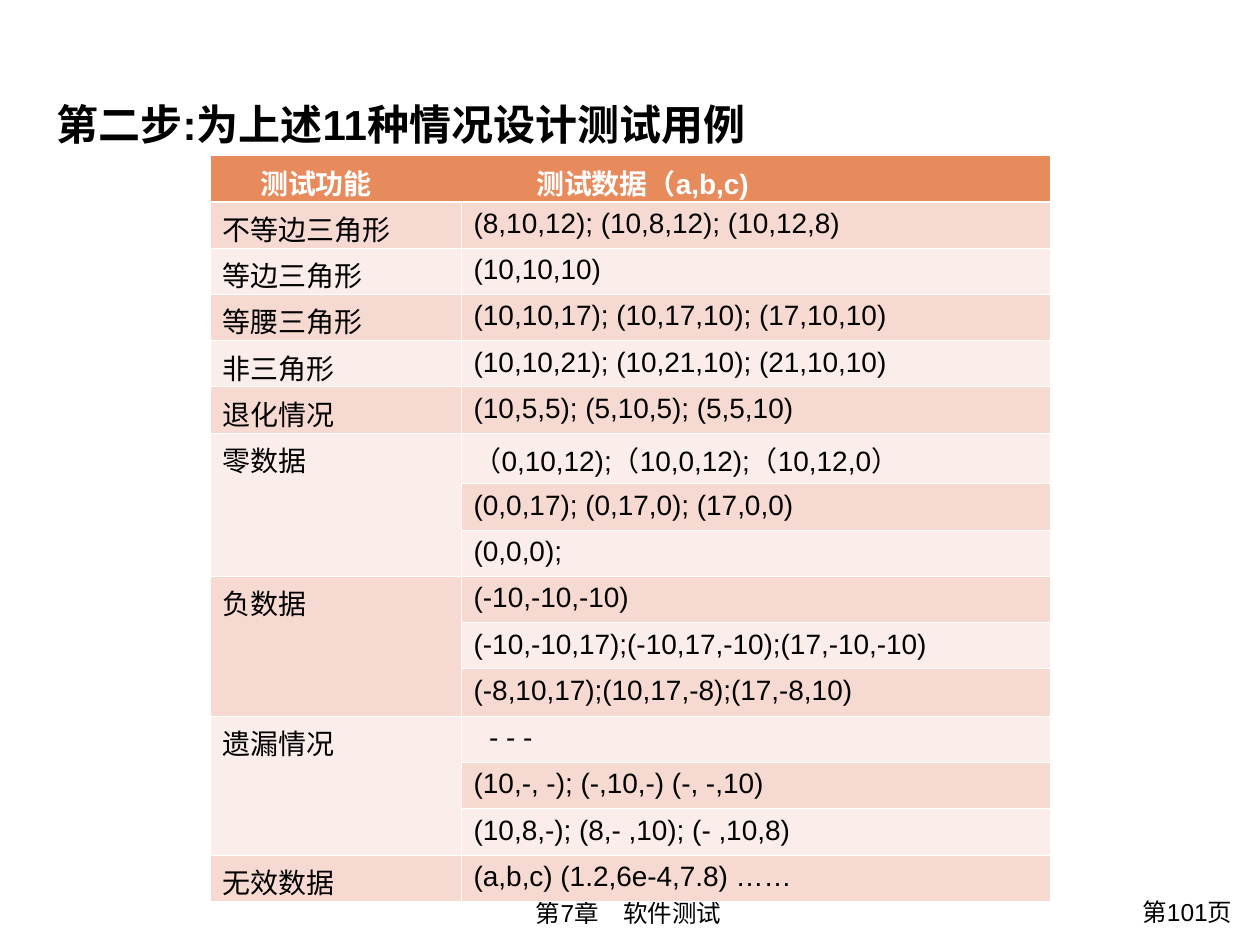
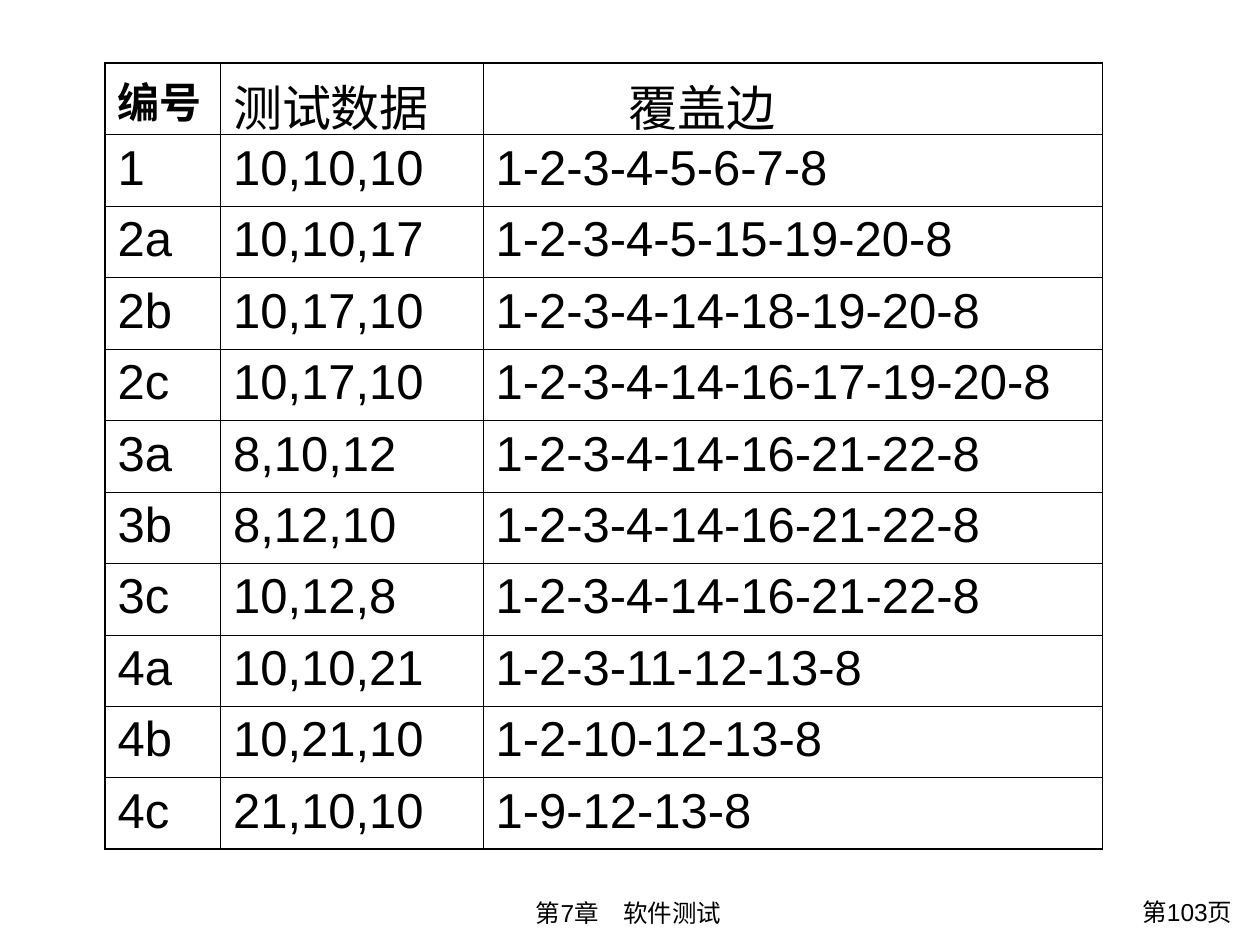
from lxml.etree import SubElement
from pptx import Presentation
from pptx.dml.color import RGBColor
from pptx.enum.text import MSO_ANCHOR, PP_ALIGN
from pptx.oxml.ns import qn
from pptx.util import Pt

COLORS = {
    "text": "000000",
    "white": "FFFFFF",
    "header": "E78A5C",
    "dark_band": "F6DAD2",
    "light_band": "FAEDEA",
}
FORMATS = {
    "title": {"size": Pt(24), "bold": True},
    "footer": {"size": Pt(14), "bold": False},
    "case_head": {"size": Pt(16), "bold": True},
    "case": {"size": Pt(16), "bold": False},
    "edge_head": {"size": Pt(24), "bold": True},
    "edge": {"size": Pt(28), "bold": False},
}
TITLE_ONLY, BLANK = 5, 6

CASES = [
    ("不等边三角形", ["(8,10,12); (10,8,12); (10,12,8)"]),
    ("等边三角形", ["(10,10,10)"]),
    ("等腰三角形", ["(10,10,17); (10,17,10); (17,10,10)"]),
    ("非三角形", ["(10,10,21); (10,21,10); (21,10,10)"]),
    ("退化情况", ["(10,5,5); (5,10,5); (5,5,10)"]),
    ("零数据", ["（0,10,12);（10,0,12);（10,12,0）", "(0,0,17); (0,17,0); (17,0,0)", "(0,0,0);"]),
    ("负数据", ["(-10,-10,-10)", "(-10,-10,17);(-10,17,-10);(17,-10,-10)",
             "(-8,10,17);(10,17,-8);(17,-8,10)"]),
    ("遗漏情况", ["- - -", "(10,-, -); (-,10,-) (-, -,10)", "(10,8,-); (8,- ,10); (- ,10,8)"]),
    ("无效数据", ["(a,b,c) (1.2,6e-4,7.8) ……"]),
]
EDGES = [
    ("编号", "测试数据", "覆盖边"),
    ("1", "10,10,10", "1-2-3-4-5-6-7-8"),
    ("2a", "10,10,17", "1-2-3-4-5-15-19-20-8"),
    ("2b", "10,17,10", "1-2-3-4-14-18-19-20-8"),
    ("2c", "10,17,10", "1-2-3-4-14-16-17-19-20-8"),
    ("3a", "8,10,12", "1-2-3-4-14-16-21-22-8"),
    ("3b", "8,12,10", "1-2-3-4-14-16-21-22-8"),
    ("3c", "10,12,8", "1-2-3-4-14-16-21-22-8"),
    ("4a", "10,10,21", "1-2-3-11-12-13-8"),
    ("4b", "10,21,10", "1-2-10-12-13-8"),
    ("4c", "21,10,10", "1-9-12-13-8"),
]


class Deck:
    """Holds the shared style and the current slide."""

    def __init__(self):
        self.prs = Presentation()
        self.prs.slide_width, self.prs.slide_height = Pt(720), Pt(540)
        self.s = None

    def slide(self, layout, page):
        self.s = self.prs.slides.add_slide(self.prs.slide_layouts[layout])
        self.textbox("第7章　软件测试", (169.2, 509.8, 380.2, 24.5), PP_ALIGN.CENTER)
        self.textbox(f"第{page}页", (614.9, 509, 96.5, 26.6), PP_ALIGN.RIGHT)

    def text(self, tf, text, style, color="text", align=PP_ALIGN.LEFT, tab=None):
        p = tf.paragraphs[0]
        p.alignment = align
        if tab:
            tabs = SubElement(p._p.get_or_add_pPr(), qn("a:tabLst"))
            SubElement(tabs, qn("a:tab"), pos=str(Pt(tab)), algn="l")
        r = p.add_run()
        r.text = text
        r.font.name = "Arial"
        r.font.color.rgb = RGBColor.from_string(COLORS[color])
        for key, value in FORMATS[style].items():
            setattr(r.font, key, value)

    def textbox(self, text, box, align):
        tf = self.s.shapes.add_textbox(*map(Pt, box)).text_frame
        tf.word_wrap = True
        self.text(tf, text, "footer", align=align)

    def title(self, text, box):
        sp = self.s.shapes.title
        sp.left, sp.top, sp.width, sp.height = map(Pt, box)
        sp.text_frame.vertical_anchor = MSO_ANCHOR.TOP
        self.text(sp.text_frame, text, "title")

    def table(self, left, top, widths, heights):
        frame = self.s.shapes.add_table(len(heights), len(widths), Pt(left), Pt(top),
                                        Pt(sum(widths)), Pt(sum(heights)))
        table = frame.table
        table.first_row = table.horz_banding = False
        for column, width in zip(table.columns, widths):
            column.width = Pt(width)
        for row, height in zip(table.rows, heights):
            row.height = Pt(height)
        return table

    def cell(self, cell, color, widths, fill=None):
        tc_pr = cell._tc.get_or_add_tcPr()
        for side, width in zip("LRTB", widths):
            ln = SubElement(tc_pr, qn(f"a:ln{side}"), w=str(Pt(width)))
            SubElement(SubElement(ln, qn("a:solidFill")), qn("a:srgbClr"), val=COLORS[color])
        if fill:
            cell.fill.solid()
            cell.fill.fore_color.rgb = RGBColor.from_string(COLORS[fill])
        else:
            cell.fill.background()


def build_cases(deck):
    deck.slide(TITLE_ONLY, 101)
    deck.title("第二步:为上述11种情况设计测试用例", (25.2, 52.6, 648, 36))
    heights = [26.45] * 16
    heights[6], heights[11] = 28.9, 27
    table = deck.table(120.2, 88.8, [143.3, 336.5], heights)
    for i in range(len(heights)):
        fill = "header" if i == 0 else "dark_band" if i % 2 else "light_band"
        top, bottom = 1.47 if i == 1 else 0.45, 1.47 if i == 0 else 0.45
        for j in range(2):
            deck.cell(table.cell(i, j), "white", (0.45, 0.45, top, bottom), fill)

    head = table.cell(0, 0)
    head.merge(table.cell(0, 1))
    head.margin_left = Pt(28.5)
    deck.text(head.text_frame, "测试功能\t测试数据（a,b,c)", "case_head", "white", tab=157.7)

    i = 1
    for name, data in CASES:
        if len(data) > 1:
            table.cell(i, 0).merge(table.cell(i + len(data) - 1, 0))
        deck.text(table.cell(i, 0).text_frame, name, "case")
        for text in data:
            cell = table.cell(i, 1)
            if text.startswith("-"):
                cell.margin_left = Pt(16.1)
            deck.text(cell.text_frame, text, "case")
            i += 1


def build_edges(deck):
    deck.slide(BLANK, 103)
    last_row, last_col = len(EDGES) - 1, len(EDGES[0]) - 1
    table = deck.table(60, 36, [66, 150, 354], [40.8] * len(EDGES))
    for i, row in enumerate(EDGES):
        for j, text in enumerate(row):
            outer = (j == 0, j == last_col, i == 0, i == last_row)
            cell = table.cell(i, j)
            deck.cell(cell, "text", [1.08 if edge else 0.45 for edge in outer])
            deck.text(cell.text_frame, text, "edge_head" if i == j == 0 else "edge")
    table.cell(0, last_col).margin_left = Pt(83)


def main():
    deck = Deck()
    build_cases(deck)
    build_edges(deck)
    deck.prs.save("out.pptx")


if __name__ == "__main__":
    main()
